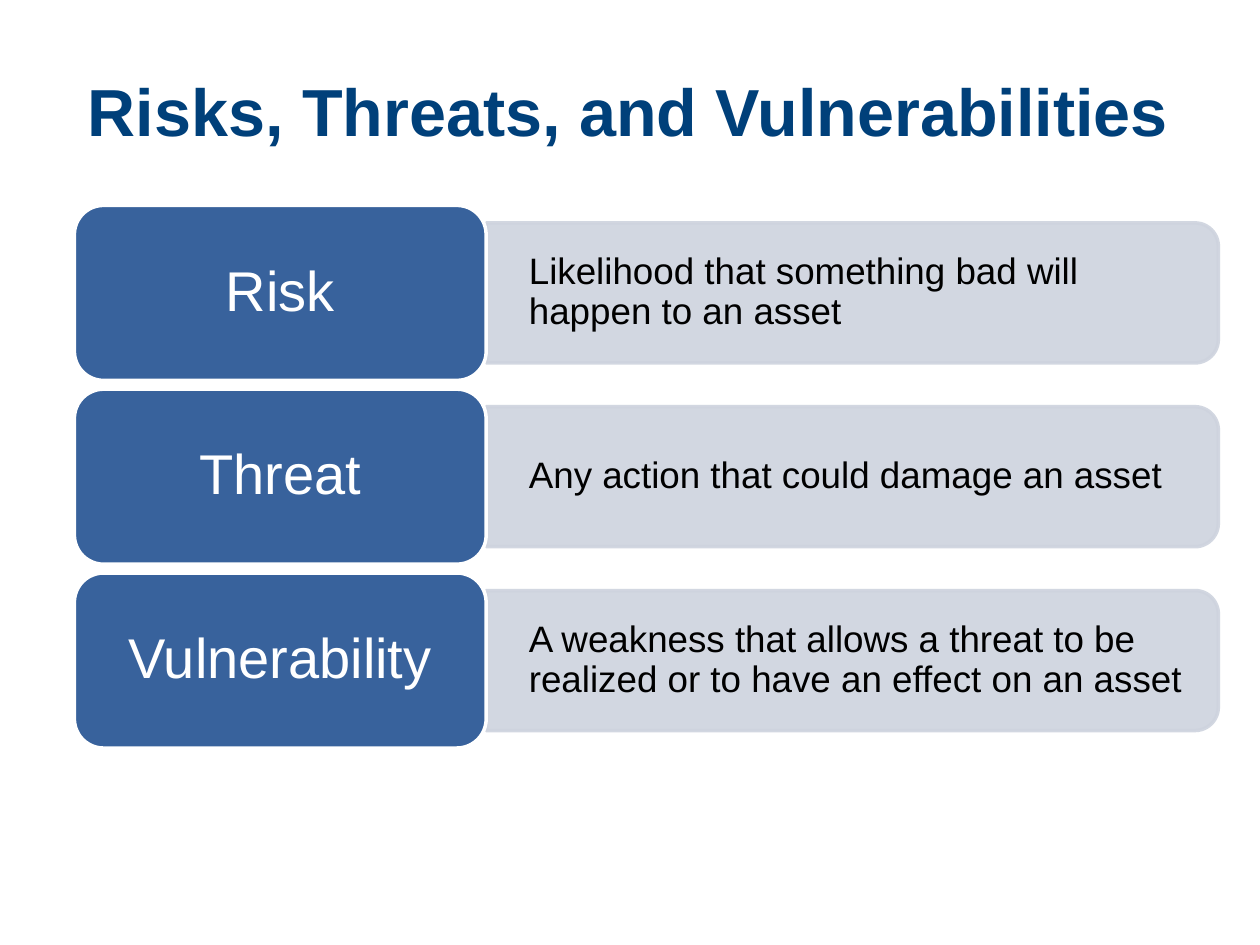
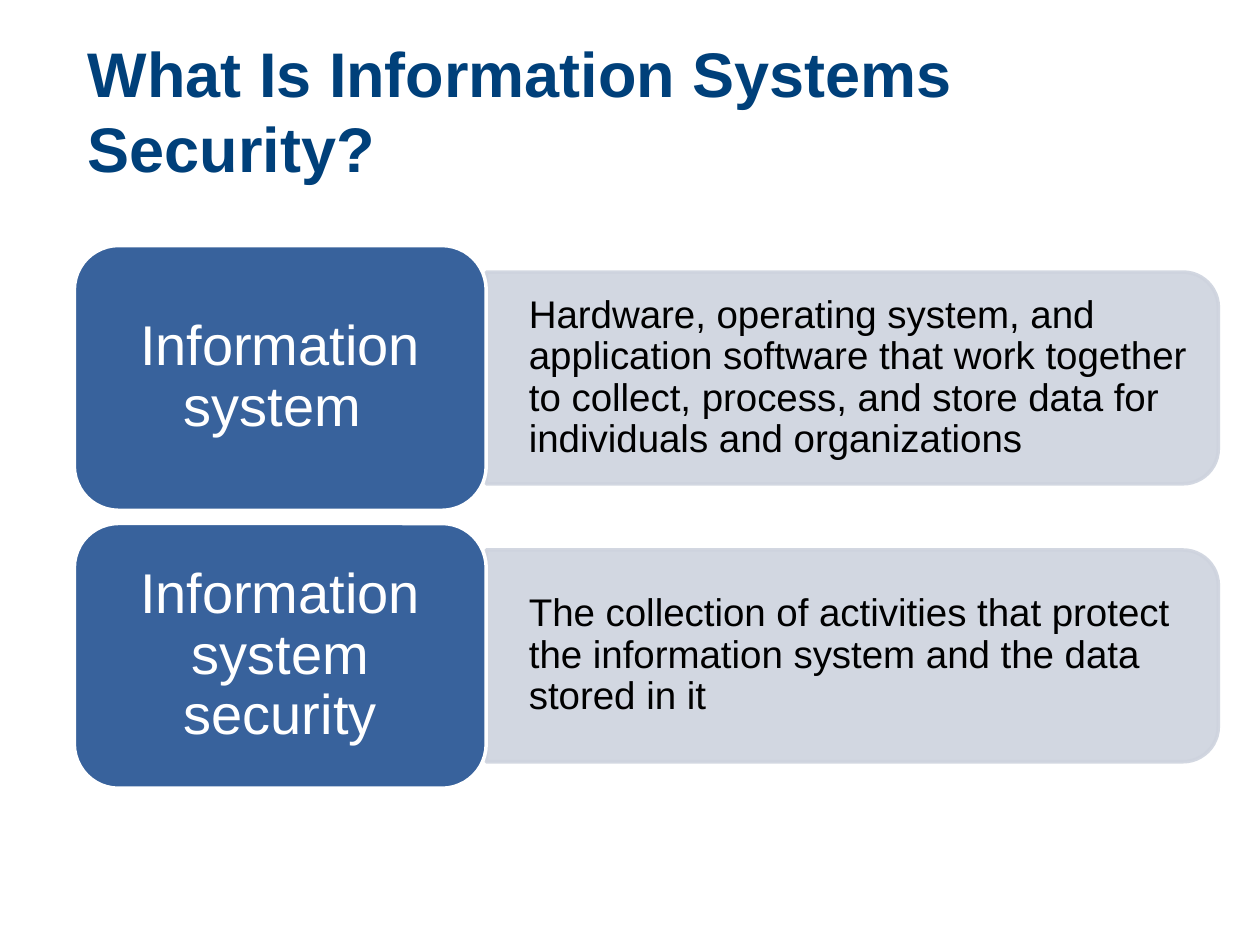
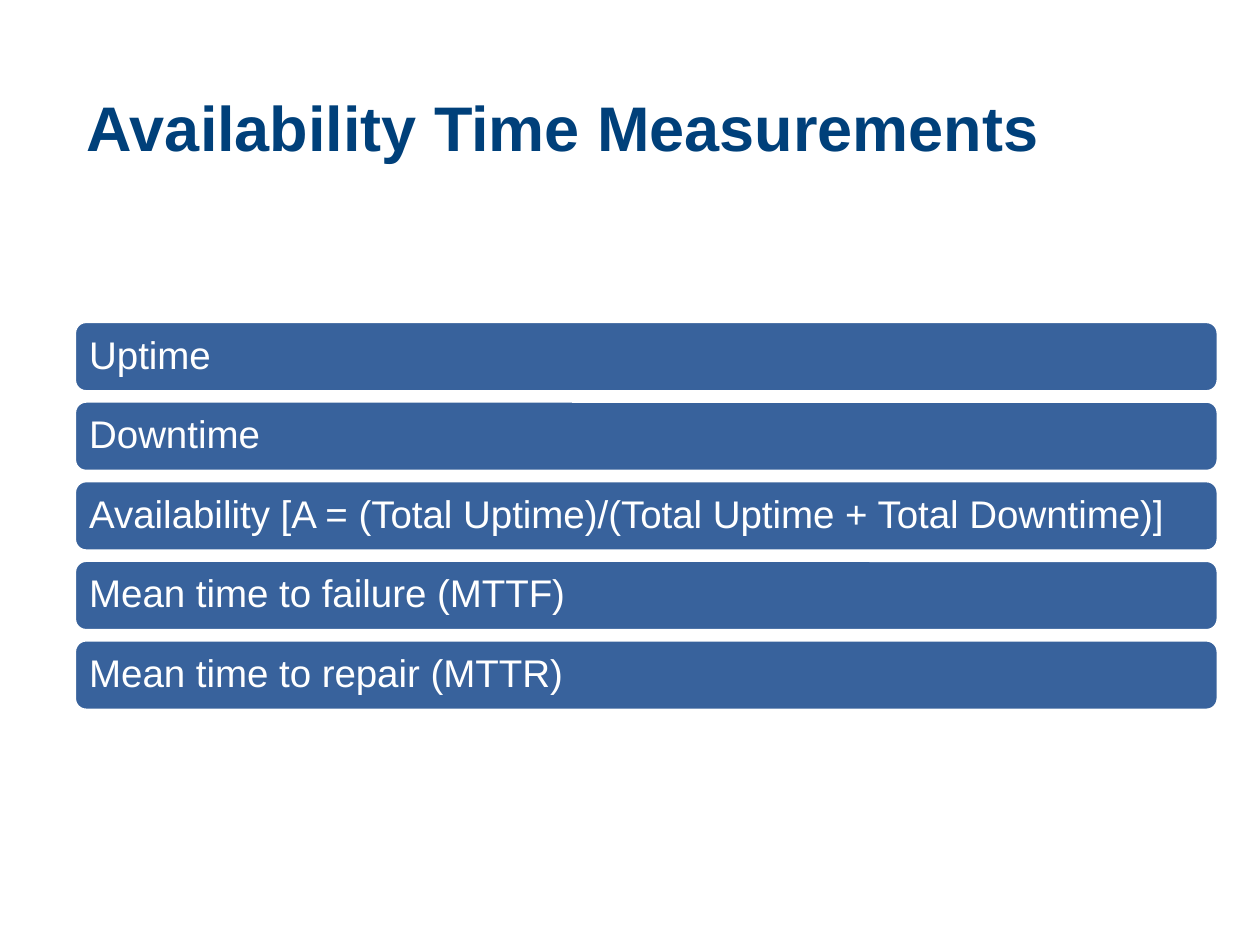
from dataclasses import dataclass

from pptx import Presentation
from pptx.dml import color
from pptx.enum import shapes, text
from pptx.oxml import ns, xmlchemy
from pptx.util import Cm, Pt

Kind = shapes.MSO_SHAPE
Align = text.PP_ALIGN


# Colours, font and type sizes
@dataclass(frozen=True)
class Theme:
    font: str = "Arial"
    navy: str = "00407A"
    blue: str = "38629C"
    pale: str = "CED3DE"
    white: str = "FFFFFF"
    black: str = "000000"
    label: int = 32
    item: int = 22
    edge: int = 2
    alpha: int = 90


@dataclass(frozen=True)
class Box:
    """An area of the slide, in centimetres."""
    x: float
    y: float
    w: float
    h: float

    def place(self):
        return Cm(self.x), Cm(self.y), Cm(self.w), Cm(self.h)

    def rows(self, count, ratio):
        """Split into equal rows whose gaps are a ratio of their height."""
        high = self.h / (count + (count - 1) * ratio)
        step = high * (1 + ratio)
        return [Box(self.x, self.y + i * step, self.w, high)
                for i in range(count)]


THEME = Theme()


def rgb(code):
    return color.RGBColor.from_string(code)


# Text: one run in a vertically centred, wrapped frame
def write(shape, words, size, ink, align=Align.LEFT, bold=False,
          pads=(0.25, 0.13), space=0.9):
    frame = shape.text_frame
    frame.word_wrap = True
    frame.auto_size = text.MSO_AUTO_SIZE.NONE
    frame.vertical_anchor = text.MSO_ANCHOR.MIDDLE
    side, top = pads
    frame.margin_left = frame.margin_right = Cm(side)
    frame.margin_top = frame.margin_bottom = Cm(top)
    para = frame.paragraphs[0]
    para.alignment = align
    para.line_spacing = space
    run = para.add_run()
    run.text = words
    run.font.name = THEME.font
    run.font.size = Pt(size)
    run.font.bold = bold
    run.font.color.rgb = rgb(ink)
    return frame


# Shape with a flat fill and a border
def panel(slide, kind, box, fill, line):
    shape = slide.shapes.add_shape(kind, *box.place())
    shape.shadow.inherit = False
    shape.fill.solid()
    shape.fill.fore_color.rgb = rgb(fill)
    shape.line.color.rgb = rgb(line)
    shape.line.width = Pt(THEME.edge)
    return shape


def fade(shape, percent):
    for node in shape.element.spPr.iter(ns.qn("a:srgbClr")):
        alpha = xmlchemy.OxmlElement("a:alpha")
        alpha.set("val", str(percent * 1000))
        node.append(alpha)


# Slide with its title
def start(deck, words, size, box):
    slide = deck.slides.add_slide(deck.slide_layouts[5])
    title = slide.shapes.title
    title.left, title.top, title.width, title.height = box.place()
    write(title, words, size, THEME.navy, bold=True, space=1)
    return slide


# Pale tab, rounded on its right side, with the definition on it
def detail(slide, box, words, size):
    turned = Box(box.x + (box.w - box.h) / 2, box.y - (box.w - box.h) / 2,
                 box.h, box.w)
    tab = panel(slide, Kind.ROUND_2_SAME_RECTANGLE, turned,
                THEME.pale, THEME.pale)
    tab.rotation = 90
    fade(tab, THEME.alpha)
    area = Box(box.x, box.y, box.w - 0.18, box.h)
    note = slide.shapes.add_textbox(*area.place())
    frame = write(note, words, size, THEME.black, pads=(0.23, 0.12))
    frame.margin_left = Cm(0.86)


# Rows of a term and its definition
def terms(slide, box, pairs, size):
    for row, (term, words) in zip(box.rows(len(pairs), 0.05), pairs):
        split = row.w * 0.36
        detail(slide, Box(row.x + split, row.y + row.h * 0.1,
                          row.w - split, row.h * 0.8), words, size)
        label = panel(slide, Kind.ROUNDED_RECTANGLE,
                      Box(row.x, row.y, split, row.h),
                      THEME.blue, THEME.white)
        write(label, term, THEME.label, THEME.white, Align.CENTER,
              pads=(0.33, 0.17))


# Stack of full-width bars
def bars(slide, box, items):
    for row, words in zip(box.rows(len(items), 0.13), items):
        bar = panel(slide, Kind.ROUNDED_RECTANGLE, row,
                    THEME.blue, THEME.white)
        write(bar, words, THEME.item, THEME.white, pads=(0.23, 0.23))


def main():
    deck = Presentation()
    deck.slide_width, deck.slide_height = Cm(25.4), Cm(19.05)
    head = Box(1.52, 0.84, 23.06, 2.74)

    # Risks, threats and vulnerabilities
    slide = start(deck, "Risks, Threats, and Vulnerabilities", 38, head)
    terms(slide, Box(1.5, 4.14, 23.06, 10.94), [
        ("Risk", "Likelihood that something bad will happen to an asset"),
        ("Threat", "Any action that could damage an asset"),
        ("Vulnerability", "A weakness that allows a threat to be realized "
                          "or to have an effect on an asset"),
    ], 21)

    # Information systems security
    slide = start(deck, "What Is Information Systems Security?", 36, head)
    terms(slide, Box(1.5, 4.95, 23.06, 10.94), [
        ("Information system ",
         "Hardware, operating system, and application software that work "
         "together to collect, process, and store data for individuals "
         "and organizations"),
        ("Information system security",
         "The collection of activities that protect the information system "
         "and the data stored in it"),
    ], 22)

    # Availability measures
    slide = start(deck, "Availability Time Measurements", 36,
                  Box(1.5, 0.84, 23.06, 3.43))
    bars(slide, Box(1.5, 6.48, 23.06, 7.84), [
        "Uptime",
        "Downtime",
        "Availability [A = (Total Uptime)/(Total Uptime + Total Downtime)]",
        "Mean time to failure (MTTF)",
        "Mean time to repair (MTTR)",
    ])

    deck.save("out.pptx")


if __name__ == "__main__":
    main()
